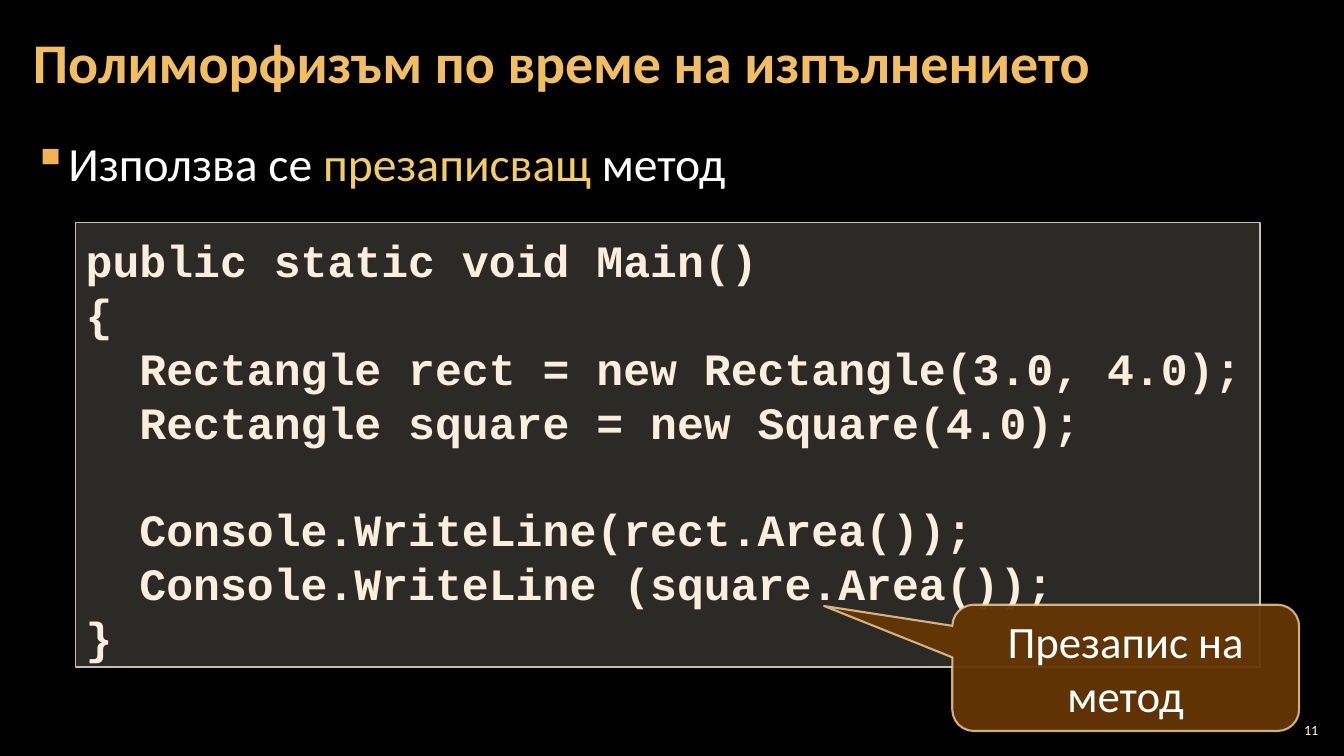
from lxml import etree
from pptx import Presentation
from pptx.dml.color import RGBColor
from pptx.enum import shapes, text
from pptx.oxml import ns
from pptx.util import Cm, Pt

TITLE = "Полиморфизъм по време на изпълнението"
BULLET = [("Използва се ", "FFFFFF"), ("презаписващ ", "F3CD60"), ("метод", "FFFFFF")]
CODE = [
    "public static void Main()",
    "{",
    "  Rectangle rect = new Rectangle(3.0, 4.0);",
    "  Rectangle square = new Square(4.0);",
    "",
    "  Console.WriteLine(rect.Area());",
    "  Console.WriteLine (square.Area());",
    "}",
]
CALLOUT = "Презапис на метод"
PAGE_NUMBER = "11"

TITLE_AREA = (0.53, 0.1, 32.79, 3.07)
BODY_AREA = (0.53, 3.2, 32.79, 15.47)
CODE_AREA = (1.91, 5.61, 29.85, 11.2)
CALLOUT_AREA = (24, 15.24, 8.74, 3.18)
NUMBER_AREA = (32.13, 18.14, 1.19, 0.53)
CALLOUT_TIP = (-0.87, -0.49, 0.17)


def color(value):
    return RGBColor.from_string(value)


def area(lengths):
    return [Cm(length) for length in lengths]


def set_font(font, size, value, name="Calibri", bold=False):
    font.name, font.size, font.bold = name, Pt(size), bold
    font.color.rgb = color(value)


def set_frame(frame, anchor, side=0.25, top=0.13, bottom=0.13):
    frame.word_wrap = True
    frame.auto_size = text.MSO_AUTO_SIZE.NONE
    frame.vertical_anchor = anchor
    frame.margin_left = frame.margin_right = Cm(side)
    frame.margin_top, frame.margin_bottom = Cm(top), Cm(bottom)
    return frame


def set_alpha(paint, percent):
    tint = paint.find(".//" + ns.qn("a:srgbClr"))
    etree.SubElement(tint, ns.qn("a:alpha"), val=str(percent * 1000))


def add_panel(page, kind, place, fill, fill_alpha, line, width, line_alpha=100):
    panel = page.shapes.add_shape(kind, *area(place))
    panel.shadow.inherit = False
    panel.fill.solid()
    panel.fill.fore_color.rgb = color(fill)
    panel.line.color.rgb = color(line)
    panel.line.width = Pt(width)
    properties = panel.element.spPr
    set_alpha(properties.find(ns.qn("a:solidFill")), fill_alpha)
    set_alpha(properties.find(ns.qn("a:ln")), line_alpha)
    return panel


def add_bullet(para, mark, value, indent):
    properties = para._p.get_or_add_pPr()
    properties.set("marL", str(Cm(indent)))
    properties.set("indent", str(-Cm(indent)))
    tint = etree.SubElement(properties, ns.qn("a:buClr"))
    etree.SubElement(tint, ns.qn("a:srgbClr"), val=value)
    etree.SubElement(properties, ns.qn("a:buChar"), char=mark)


def add_title(page):
    title = page.shapes.title
    title.left, title.top, title.width, title.height = area(TITLE_AREA)
    frame = set_frame(title.text_frame, text.MSO_ANCHOR.MIDDLE, 0.3, 0.1, 0.1)
    para = frame.paragraphs[0]
    para.text = TITLE
    para.alignment = text.PP_ALIGN.LEFT
    para.line_spacing = 0.9
    set_font(para.font, 40, "F3BE60", bold=True)


def add_body(page):
    box = page.shapes.add_textbox(*area(BODY_AREA))
    frame = set_frame(box.text_frame, text.MSO_ANCHOR.TOP, 0.3, 0.1, 0.1)
    para = frame.paragraphs[0]
    para.line_spacing = 1.05
    add_bullet(para, "▪", "F2B254", 0.84)
    for words, value in BULLET:
        span = para.add_run()
        span.text = words
        set_font(span.font, 34, value)


def add_code(page):
    panel = add_panel(page, shapes.MSO_SHAPE.RECTANGLE, CODE_AREA,
                      "D9D5C7", 20, "C7BFAC", 1)
    frame = set_frame(panel.text_frame, text.MSO_ANCHOR.TOP, top=0.25)
    for index, line in enumerate(CODE):
        para = frame.add_paragraph() if index else frame.paragraphs[0]
        para.text = line
        para.alignment = text.PP_ALIGN.LEFT
        para.line_spacing = Pt(38.5)
        set_font(para.font, 32, "FBEEDC", "Courier New", True)


def add_callout(page):
    panel = add_panel(page, shapes.MSO_SHAPE.ROUNDED_RECTANGULAR_CALLOUT,
                      CALLOUT_AREA, "663606", 95, "F8D49E", 1.5, 80)
    for index, value in enumerate(CALLOUT_TIP):
        panel.adjustments[index] = value
    para = set_frame(panel.text_frame, text.MSO_ANCHOR.MIDDLE).paragraphs[0]
    para.text = CALLOUT
    para.alignment = text.PP_ALIGN.CENTER
    set_font(para.font, 32, "FFFFFF")


def add_number(page):
    box = page.shapes.add_textbox(*area(NUMBER_AREA))
    frame = set_frame(box.text_frame, text.MSO_ANCHOR.MIDDLE, 0.1, 0.1, 0.1)
    para = frame.paragraphs[0]
    para.text = PAGE_NUMBER
    para.alignment = text.PP_ALIGN.RIGHT
    set_font(para.font, 10, "FFFFFF")


def main():
    deck = Presentation()
    deck.slide_width, deck.slide_height = Cm(33.87), Cm(19.05)
    page = deck.slides.add_slide(deck.slide_layouts[5])
    page.background.fill.solid()
    page.background.fill.fore_color.rgb = color("000000")
    add_title(page)
    add_body(page)
    add_code(page)
    add_callout(page)
    add_number(page)
    deck.save("out.pptx")


if __name__ == "__main__":
    main()
